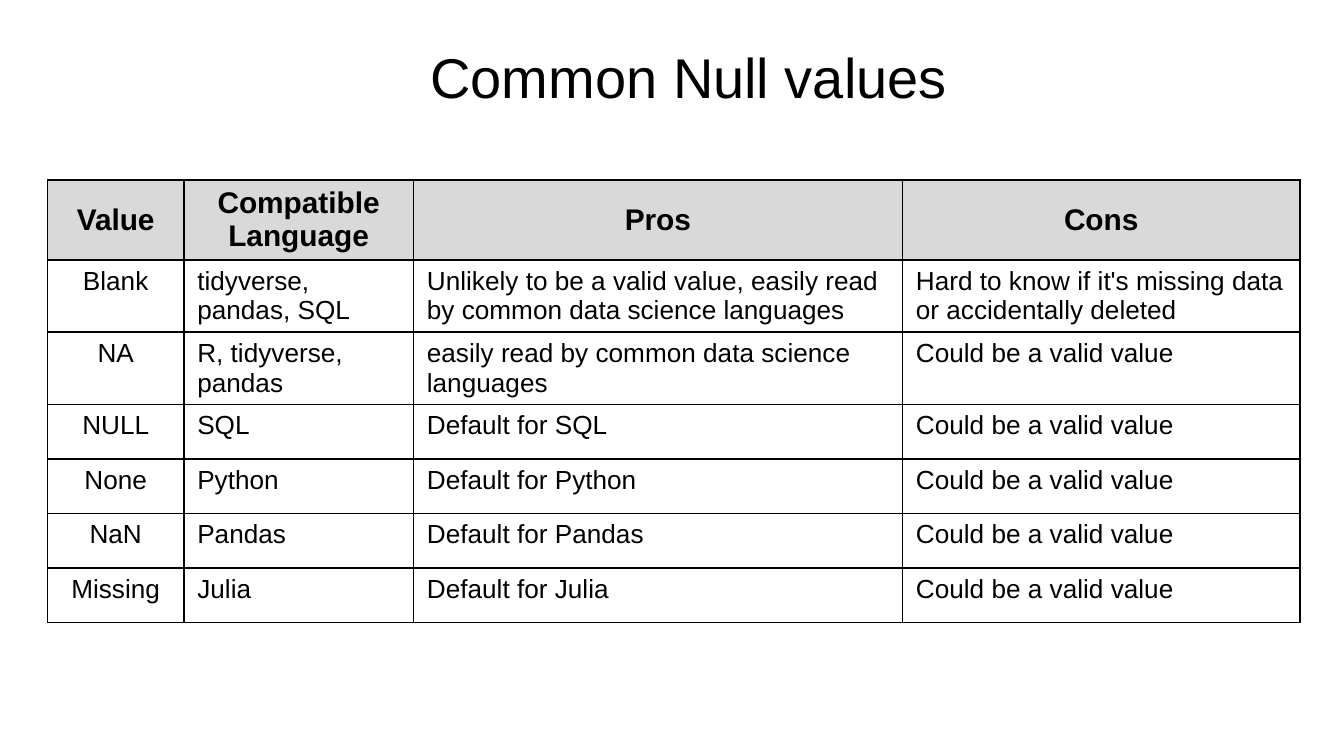
from lxml.etree import SubElement
from pptx import Presentation
from pptx.dml.color import RGBColor
from pptx.enum.text import MSO_ANCHOR, PP_ALIGN
from pptx.oxml.ns import qn
from pptx.util import Pt

TITLE = "Common Null values"
HEADINGS = ("Value", "Compatible Language", "Pros", "Cons")
NULL_VALUES = [
    ("Blank", "tidyverse, pandas, SQL",
     "Unlikely to be a valid value, easily read by common data science languages",
     "Hard to know if it's missing data or accidentally deleted"),
    ("NA", "R, tidyverse, pandas",
     "easily read by common data science languages", "Could be a valid value"),
    ("NULL", "SQL", "Default for SQL", "Could be a valid value"),
    ("None", "Python", "Default for Python", "Could be a valid value"),
    ("NaN", "Pandas", "Default for Pandas", "Could be a valid value"),
    ("Missing", "Julia", "Default for Julia", "Could be a valid value"),
]
COLORS = {"ink": "000000", "heading": "D9D9D9"}
FONT = "Arial"
COLUMN_WIDTHS = (73, 123, 262, 213)
ROW_HEIGHT = 29.2
TABLE_LEFT, TABLE_TOP = 25.5, 96.5


def write(frame, text, size, bold=False, align=PP_ALIGN.LEFT, spacing=None):
    paragraph = frame.paragraphs[0]
    paragraph.text = text
    paragraph.alignment = align
    paragraph.line_spacing = spacing
    font = paragraph.runs[0].font
    font.name, font.size, font.bold = FONT, Pt(size), bold
    font.color.rgb = RGBColor.from_string(COLORS["ink"])


def add_borders(cell):
    properties = cell._tc.get_or_add_tcPr()
    for side in ("lnL", "lnR", "lnT", "lnB"):
        line = SubElement(properties, qn(f"a:{side}"), w=str(Pt(1)))
        fill = SubElement(line, qn("a:solidFill"))
        SubElement(fill, qn("a:srgbClr"), val=COLORS["ink"])


def add_title(slide):
    title = slide.shapes.title
    title.left, title.top, title.width, title.height = Pt(49.7), Pt(9.4), Pt(638.6), Pt(52.6)
    frame = title.text_frame
    frame.word_wrap = True
    frame.vertical_anchor = MSO_ANCHOR.BOTTOM
    frame.margin_left = frame.margin_right = Pt(5.4)
    frame.margin_top = frame.margin_bottom = Pt(2.7)
    write(frame, TITLE, size=30, align=PP_ALIGN.CENTER, spacing=0.9)


def add_null_table(slide):
    rows = [HEADINGS, *NULL_VALUES]
    table = slide.shapes.add_table(
        len(rows), len(HEADINGS), Pt(TABLE_LEFT), Pt(TABLE_TOP),
        Pt(sum(COLUMN_WIDTHS)), Pt(ROW_HEIGHT * len(rows))).table
    table.first_row = table.horz_banding = False
    for column, width in zip(table.columns, COLUMN_WIDTHS):
        column.width = Pt(width)
    for r, row in enumerate(rows):
        table.rows[r].height = Pt(ROW_HEIGHT)
        heading = r == 0
        for c, text in enumerate(row):
            cell = table.cell(r, c)
            add_borders(cell)
            centred = heading or c == 0
            write(cell.text_frame, text, size=16 if heading else 14, bold=heading,
                  align=PP_ALIGN.CENTER if centred else PP_ALIGN.LEFT)
            if heading:
                cell.vertical_anchor = MSO_ANCHOR.MIDDLE
                cell.fill.solid()
                cell.fill.fore_color.rgb = RGBColor.from_string(COLORS["heading"])
            else:
                cell.fill.background()


def main():
    deck = Presentation()
    deck.slide_width, deck.slide_height = Pt(720), Pt(405)
    slide = deck.slides.add_slide(deck.slide_layouts[5])
    add_title(slide)
    add_null_table(slide)
    deck.save("out.pptx")


if __name__ == "__main__":
    main()
